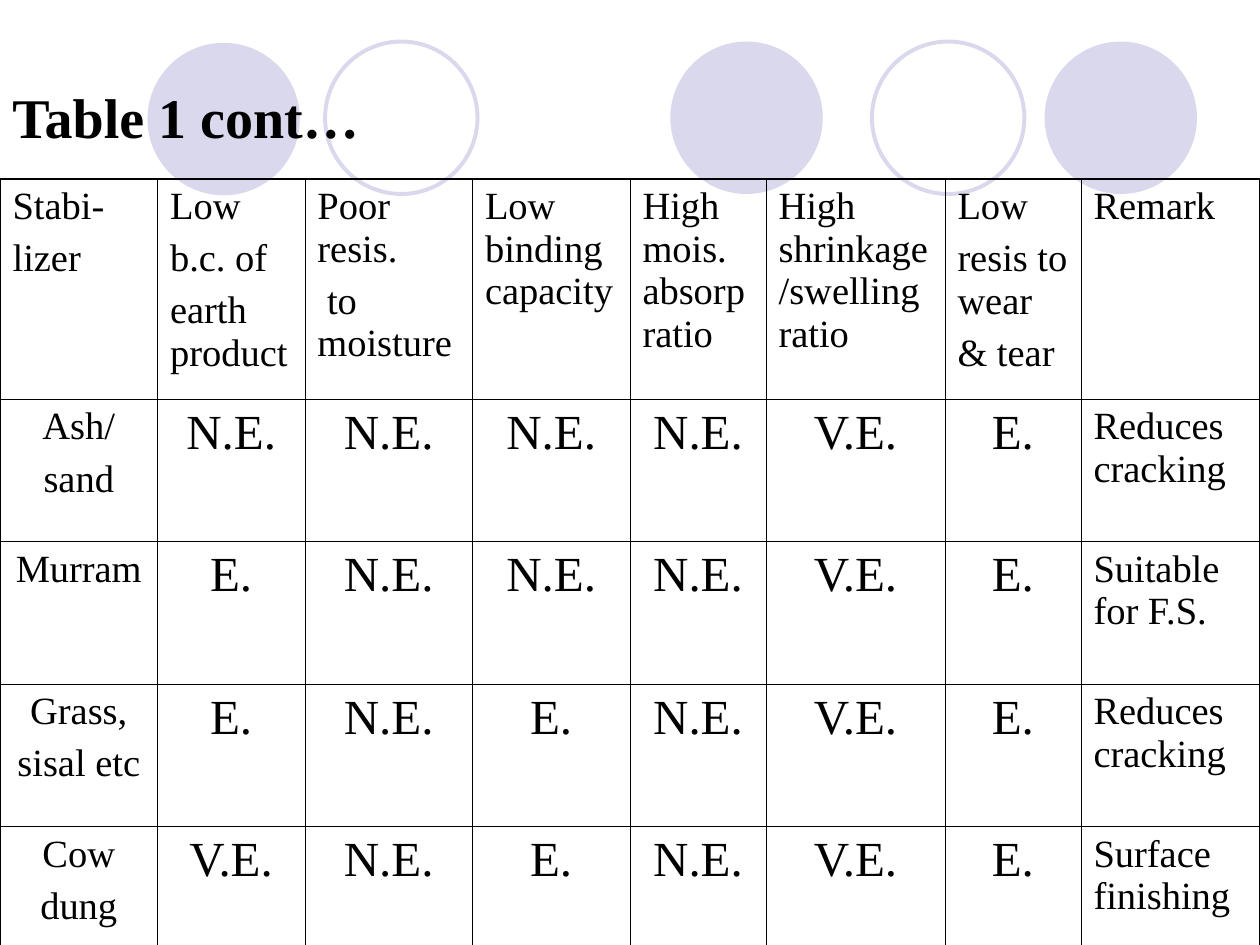
from lxml.etree import SubElement
from pptx import Presentation
from pptx.dml.color import RGBColor
from pptx.enum.shapes import MSO_SHAPE
from pptx.enum.text import MSO_ANCHOR, PP_ALIGN
from pptx.oxml.ns import qn
from pptx.util import Inches, Pt

COLORS = {"text": "000000", "border": "000000", "circle": "D9D8EC"}
FONT = "Times New Roman"
CIRCLE_SIZE = 1.21
CIRCLES = [
    (5.32, 0.33, True),
    (8.29, 0.33, True),
    (1.17, 0.34, True),
    (6.92, 0.33, False),
    (2.58, 0.33, False),
]
COL_WIDTHS = [1.25, 1.17, 1.33, 1.25, 1.08, 1.42, 1.08, 1.42]
ROW_HEIGHTS = [1.75, 1.13, 1.13, 1.13, 0.95]
OUTER_WIDTH, INNER_WIDTH = 1.08, 0.45
ROWS = [
    ["Stabi-\nlizer", "Low\nb.c. of\nearth product", "Poor resis.\n to moisture",
     "Low binding capacity", "High mois. absorp ratio",
     "High shrinkage/swelling ratio", "Low\nresis to wear\n& tear", "Remark"],
    ["Ash/\nsand", "N.E.", "N.E.", "N.E.", "N.E.", "V.E.", "E.", "Reduces cracking"],
    ["Murram", "E.", "N.E.", "N.E.", "N.E.", "V.E.", "E.", "Suitable for F.S."],
    ["Grass,\nsisal etc", "E.", "N.E.", "E.", "N.E.", "V.E.", "E.", "Reduces cracking"],
    ["Cow\ndung", "V.E.", "N.E.", "E.", "N.E.", "V.E.", "E.", "Surface finishing"],
]


def color(name):
    return RGBColor.from_string(COLORS[name])


def format_font(font, size, bold=False):
    font.name = FONT
    font.size = Pt(size)
    font.bold = bold
    font.color.rgb = color("text")


def add_circle(slide, left, top, filled):
    s = slide.shapes.add_shape(MSO_SHAPE.OVAL, Inches(left), Inches(top),
                               Inches(CIRCLE_SIZE), Inches(CIRCLE_SIZE))
    s.shadow.inherit = False
    if filled:
        s.fill.solid()
        s.fill.fore_color.rgb = color("circle")
        s.line.fill.background()
    else:
        s.fill.background()
        s.line.color.rgb = color("circle")
        s.line.width = Pt(2.25)


def add_title(slide, text):
    s = slide.shapes.add_textbox(0, Inches(0.3), Inches(10), Inches(1.25))
    tf = s.text_frame
    tf.word_wrap = True
    tf.vertical_anchor = MSO_ANCHOR.MIDDLE
    tf.text = text
    format_font(tf.paragraphs[0].runs[0].font, 32, bold=True)


def set_borders(cell, row, col):
    outer_sides = {
        "a:lnL": col == 0,
        "a:lnR": col == len(COL_WIDTHS) - 1,
        "a:lnT": row == 0,
        "a:lnB": row == len(ROW_HEIGHTS) - 1,
    }
    tcPr = cell._tc.get_or_add_tcPr()
    for tag, outer in outer_sides.items():
        width = Pt(OUTER_WIDTH if outer else INNER_WIDTH)
        ln = SubElement(tcPr, qn(tag), w=str(width))
        fill = SubElement(ln, qn("a:solidFill"))
        SubElement(fill, qn("a:srgbClr"), val=COLORS["border"])


def fill_cell(cell, text, row, col):
    set_borders(cell, row, col)
    cell.fill.background()
    rating = row > 0 and 0 < col < len(COL_WIDTHS) - 1
    centred = row > 0 and col < len(COL_WIDTHS) - 1
    size = 28 if rating else 22
    tf = cell.text_frame
    tf.text = text
    for i, p in enumerate(tf.paragraphs):
        p.alignment = PP_ALIGN.CENTER if centred else PP_ALIGN.LEFT
        if i:
            p.space_before = Pt(size / 4)
        for r in p.runs:
            format_font(r.font, size)


def add_ratings_table(slide):
    table = slide.shapes.add_table(
        len(ROW_HEIGHTS), len(COL_WIDTHS), 0, Inches(1.42),
        Inches(sum(COL_WIDTHS)), Inches(sum(ROW_HEIGHTS))).table
    table.first_row = False
    table.horz_banding = False
    for column, width in zip(table.columns, COL_WIDTHS):
        column.width = Inches(width)
    for row, height in zip(table.rows, ROW_HEIGHTS):
        row.height = Inches(height)
    for i, texts in enumerate(ROWS):
        for j, text in enumerate(texts):
            fill_cell(table.cell(i, j), text, i, j)


def main():
    prs = Presentation()
    prs.slide_width = Inches(10)
    prs.slide_height = Inches(7.5)
    slide = prs.slides.add_slide(prs.slide_layouts[6])
    for left, top, filled in CIRCLES:
        add_circle(slide, left, top, filled)
    add_title(slide, "Table 1 cont…")
    add_ratings_table(slide)
    prs.save("out.pptx")


if __name__ == "__main__":
    main()
